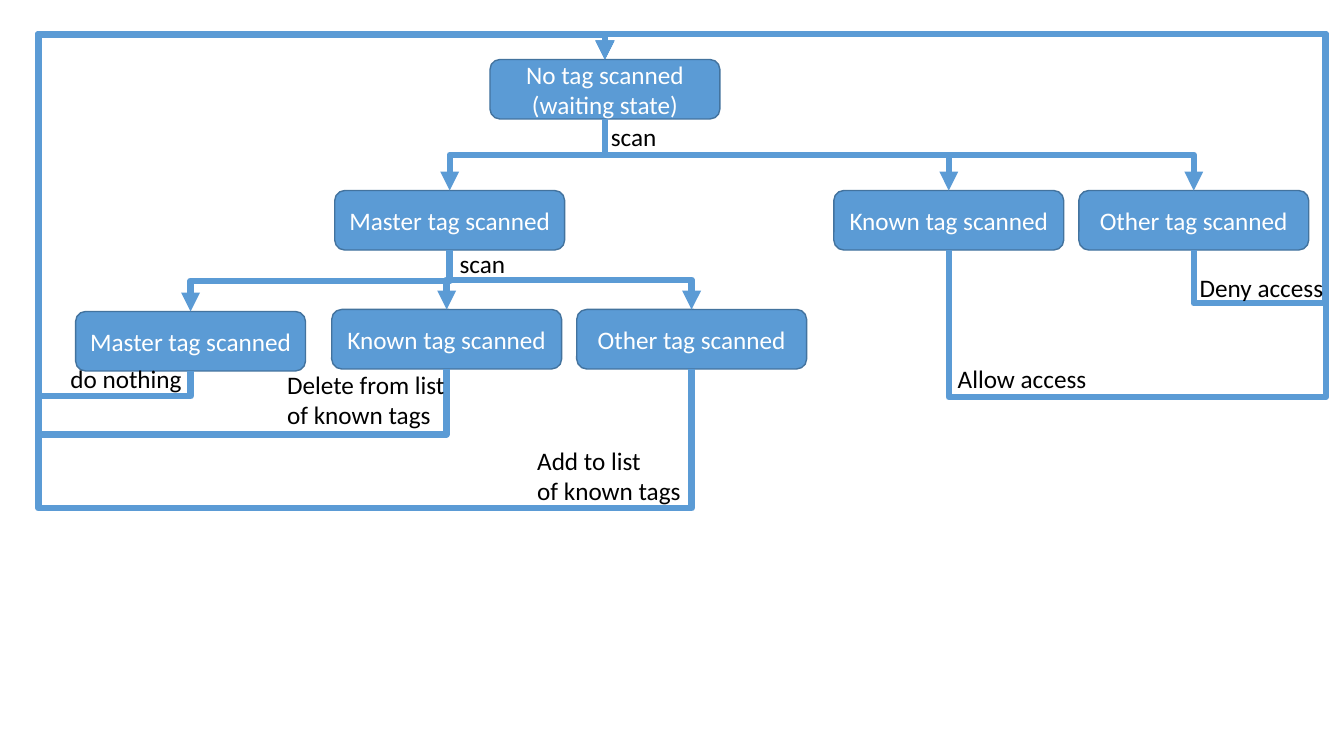
import lxml.etree
import pptx
import pptx.util
import pptx.dml.color
import pptx.enum.shapes
import pptx.enum.text
import pptx.oxml.ns

Inches = pptx.util.Inches
Pt = pptx.util.Pt
Align = pptx.enum.text.PP_ALIGN
Anchor = pptx.enum.text.MSO_ANCHOR
Fit = pptx.enum.text.MSO_AUTO_SIZE
qn = pptx.oxml.ns.qn

HEX = {"blue": "5B9BD5", "edge": "43739E", "white": "FFFFFF", "black": "000000"}
TINT = {name: pptx.dml.color.RGBColor.from_string(code) for name, code in HEX.items()}
WIDE, HIGH = 2.28, 0.59

deck = pptx.Presentation()
deck.slide_width, deck.slide_height = Inches(13.33), Inches(7.5)
slide = deck.slides.add_slide(deck.slide_layouts[6])


def write(shape, text, color="black", align=Align.LEFT, anchor=Anchor.TOP, wrap=False, fit=Fit.SHAPE_TO_FIT_TEXT):
    frame = shape.text_frame
    frame.text = text
    frame.word_wrap = wrap
    frame.auto_size = fit
    frame.vertical_anchor = anchor
    for para in frame.paragraphs:
        para.alignment = align
        para.font.name = "Calibri"
        para.font.size = Pt(18)
        para.font.color.rgb = TINT[color]


def join(start, end, turns):
    x1, y1 = start.left + start.width // 2, start.top + start.height
    x2, y2 = end.left + end.width // 2, end.top
    dx, dy = x2 - x1, y2 - y1
    link = slide.shapes.add_connector(pptx.enum.shapes.MSO_CONNECTOR.ELBOW, x1, y1, x2, y2)
    link.begin_connect(start, 2)
    link.end_connect(end, 0)
    link.width, link.height = abs(dy), abs(dx)
    link.left = (x1 + x2 - abs(dy)) // 2
    link.top = (y1 + y2 - abs(dx)) // 2
    link.line.color.rgb = TINT["blue"]
    link.line.width = Pt(4.5)

    props = link._element.spPr
    frame = props.find(qn("a:xfrm"))
    frame.set("rot", "5400000")
    frame.set("flipH", str(int(dy < 0)))
    frame.set("flipV", str(int(dx > 0)))
    geom = props.find(qn("a:prstGeom"))
    geom.set("prst", f"bentConnector{len(turns) + 2}")
    guides = geom.find(qn("a:avLst"))
    for spot, turn in enumerate(turns):
        base, span = (x1, dx) if spot % 2 else (y1, dy)
        ratio = round((turn - base) / span * 100000)
        lxml.etree.SubElement(guides, qn("a:gd"), name=f"adj{spot + 1}", fmla=f"val {ratio}")
    lxml.etree.SubElement(props.find(qn("a:ln")), qn("a:tailEnd"), type="triangle")
    lxml.etree.SubElement(props, qn("a:effectLst"))


states = {}
for key, text, left, top in [
    ("wait", "No tag scanned\n(waiting state)", 4.86, 0.59),
    ("master", "Master tag scanned", 3.32, 1.89),
    ("known", "Known tag scanned", 8.27, 1.89),
    ("other", "Other tag scanned", 10.7, 1.89),
    ("again", "Master tag scanned", 0.75, 3.09),
    ("delete", "Known tag scanned", 3.29, 3.07),
    ("add", "Other tag scanned", 5.72, 3.07),
]:
    state = slide.shapes.add_shape(
        pptx.enum.shapes.MSO_SHAPE.ROUNDED_RECTANGLE, Inches(left), Inches(top), Inches(WIDE), Inches(HIGH))
    state.shadow.inherit = False
    state.fill.solid()
    state.fill.fore_color.rgb = TINT["blue"]
    state.line.color.rgb = TINT["edge"]
    state.line.width = Pt(1)
    write(state, text, color="white", align=Align.CENTER, anchor=Anchor.MIDDLE, wrap=True, fit=Fit.NONE)
    states[key] = state

for source, goals in [("wait", ["master", "known", "other"]), ("master", ["again", "delete", "add"])]:
    start = states[source]
    for goal in goals:
        end = states[goal]
        join(start, end, [(start.top + start.height + end.top) // 2])

for key, low, side in [
    ("again", 3.93, 0.38),
    ("delete", 4.31, 0.38),
    ("add", 5.04, 0.38),
    ("known", 3.94, 13.15),
    ("other", 3.01, 13.15),
]:
    join(states[key], states["wait"], [Inches(low), Inches(side), Inches(0.34)])

for text, left, top, width, height in [
    ("scan", 5.96, 1.15, 0.66, 0.4),
    ("scan", 4.46, 2.41, 0.66, 0.4),
    ("do nothing", 0.6, 3.56, 1.34, 0.4),
    ("Delete from list\nof known tags", 2.75, 3.61, 1.84, 0.71),
    ("Add to list\nof known tags", 5.23, 4.37, 1.64, 0.71),
    ("Allow access", 9.4, 3.56, 1.49, 0.4),
    ("Deny access", 11.8, 2.65, 1.44, 0.4),
]:
    label = slide.shapes.add_textbox(Inches(left), Inches(top), Inches(width), Inches(height))
    write(label, text)

deck.save("out.pptx")
